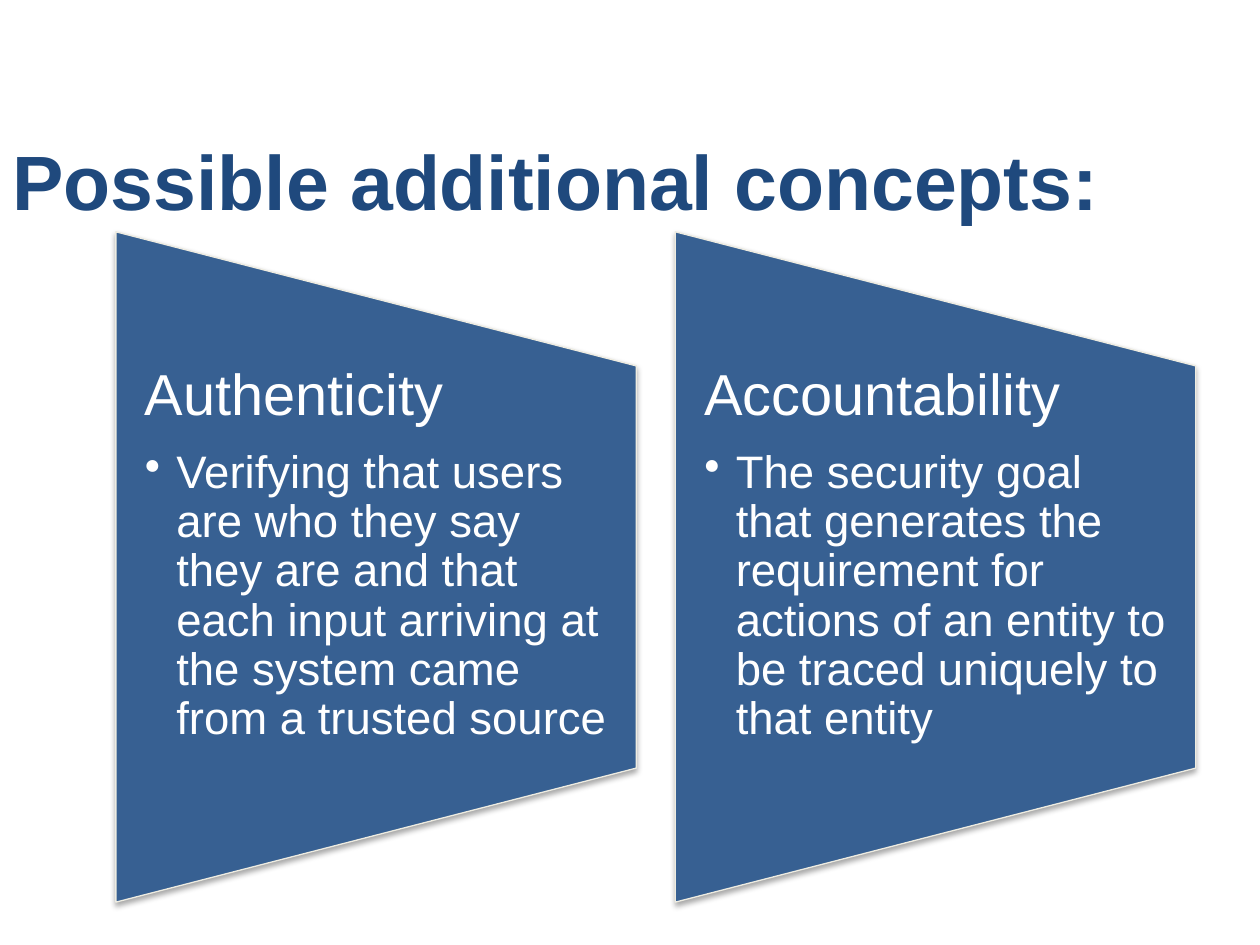
from lxml.etree import SubElement
from pptx import Presentation
from pptx.dml.color import RGBColor
from pptx.enum.shapes import MSO_SHAPE
from pptx.enum.text import MSO_ANCHOR, PP_ALIGN
from pptx.oxml import parse_xml
from pptx.oxml.ns import nsdecls, qn
from pptx.util import Inches, Pt

FONT = "Arial"
NAVY, BLUE, CREAM, WHITE = "1F497D", "376092", "EEECE1", "FFFFFF"
PANEL_W, PANEL_H, TEXT_H = 4.13, 5.32, 3.19
PANEL_LEFT, PANEL_STEP, PANEL_MID = 0.92, 4.44, 4.5
CONCEPTS = [
    ("Authenticity",
     "Verifying that users are who they say they are and that each input "
     "arriving at the system came from a trusted source"),
    ("Accountability",
     "The security goal that generates the requirement for actions of an "
     "entity to be traced uniquely to that entity"),
]


def rgb(value):
    return RGBColor.from_string(value)


def style(p, size, color, bold=False):
    for r in p.runs:
        r.font.name = FONT
        r.font.size = Pt(size)
        r.font.bold = bold
        r.font.color.rgb = rgb(color)


def add_title(slide, text):
    sp = slide.shapes.title
    sp.left, sp.top = Inches(0), Inches(0.75)
    sp.width, sp.height = Inches(10), Inches(1.09)
    tf = sp.text_frame
    tf.text = text
    tf.vertical_anchor = MSO_ANCHOR.BOTTOM
    p = tf.paragraphs[0]
    p.alignment = PP_ALIGN.LEFT
    style(p, 44, NAVY, bold=True)


def add_shadow(sp):
    sp.shadow.inherit = False
    effects = sp._element.spPr.find(qn("a:effectLst"))
    effects.append(parse_xml(
        f'<a:outerShdw {nsdecls("a")} blurRad="{Pt(3.1)}" dist="{Pt(1.8)}" '
        'dir="5400000" rotWithShape="0"><a:srgbClr val="000000">'
        '<a:alpha val="35000"/></a:srgbClr></a:outerShdw>'))


def add_panel(slide, left):
    """Trapezoid turned a quarter to the left, so its wide side is on the left."""
    sp = slide.shapes.add_shape(
        MSO_SHAPE.FLOWCHART_MANUAL_OPERATION,
        Inches(left + (PANEL_W - PANEL_H) / 2), Inches(PANEL_MID - PANEL_W / 2),
        Inches(PANEL_H), Inches(PANEL_W))
    sp.rotation = 270
    sp.fill.solid()
    sp.fill.fore_color.rgb = rgb(BLUE)
    sp.line.color.rgb = rgb(CREAM)
    sp.line.width = Pt(0.75)
    add_shadow(sp)


def add_bullet(p):
    pPr = p._p.get_or_add_pPr()
    pPr.set("marL", str(Inches(0.25)))
    pPr.set("indent", str(Inches(-0.25)))
    SubElement(pPr, qn("a:buChar"), char="•")


def add_concept_text(slide, left, heading, detail):
    sp = slide.shapes.add_textbox(
        Inches(left), Inches(PANEL_MID - TEXT_H / 2), Inches(PANEL_W), Inches(TEXT_H))
    tf = sp.text_frame
    tf.word_wrap = True
    tf.margin_left = tf.margin_right = Inches(0.23)
    tf.margin_top = tf.margin_bottom = 0
    tf.text = f"{heading}\n{detail}"
    title, body = tf.paragraphs
    add_bullet(body)
    for p, size, after in ((title, 33, 12), (body, 26, 4)):
        p.line_spacing = 0.9
        p.space_after = Pt(after)
        style(p, size, WHITE)


def main():
    prs = Presentation()
    prs.slide_width, prs.slide_height = Inches(10), Inches(7.5)
    slide = prs.slides.add_slide(prs.slide_layouts[5])
    add_title(slide, "Possible additional concepts:")
    for i, (heading, detail) in enumerate(CONCEPTS):
        left = PANEL_LEFT + i * PANEL_STEP
        add_panel(slide, left)
        add_concept_text(slide, left, heading, detail)
    prs.save("out.pptx")


if __name__ == "__main__":
    main()
